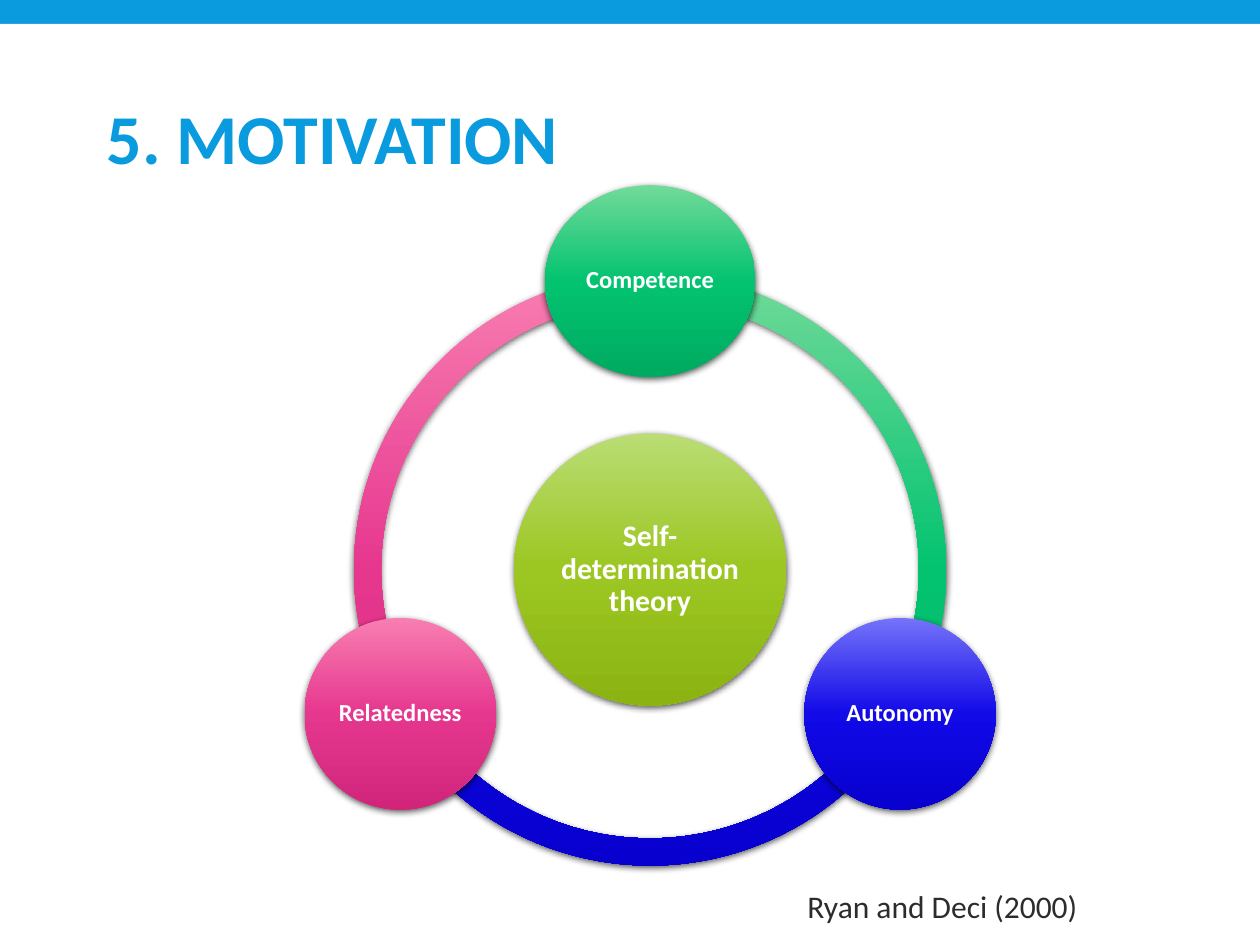
from math import cos, radians, sin

from lxml.etree import SubElement
from pptx import Presentation
from pptx.dml.color import RGBColor
from pptx.enum.shapes import MSO_SHAPE as Shape
from pptx.enum.text import MSO_ANCHOR as Anchor, PP_ALIGN as Align
from pptx.oxml.ns import qn
from pptx.util import Inches, Pt

BLUE, WHITE, INK = "099BDD", "FFFFFF", "2C2C2C"
GREEN_SHADES = ("72DA9A", "03C370", "00AA61")
INDIGO_SHADES = ("7473F9", "120AE7", "0700CF")
PINK_SHADES = ("F87EB1", "E6378F", "D0257B")
LIME_SHADES = ("BADD75", "9CC621", "8BB413")

CENTER_X, CENTER_Y = 5.16, 4.52
RING_SIZE, ORBIT = 4.7, 2.29
ADJUST_PER_DEGREE = 0.6

NEEDS = [
    ("Competence", 270, 1.67, GREEN_SHADES),
    ("Autonomy", 30, 1.52, INDIGO_SHADES),
    ("Relatedness", 150, 1.52, PINK_SHADES),
]


def color(value):
    return RGBColor.from_string(value)


class SlideBuilder:
    font = "Calibri"

    def __init__(self, page):
        self.page = page

    def background(self, fill):
        self.page.background.fill.solid()
        self.page.background.fill.fore_color.rgb = color(fill)

    def shape(self, kind, left, top, width, height):
        item = self.page.shapes.add_shape(
            kind, Inches(left), Inches(top), Inches(width), Inches(height))
        item.line.fill.background()
        item.shadow.inherit = False
        return item

    def panel(self, top, height):
        item = self.shape(Shape.RECTANGLE, 0, top, 10, height)
        item.fill.solid()
        item.fill.fore_color.rgb = color(WHITE)

    def glossy(self, kind, center_x, center_y, width, height, shades):
        item = self.shape(
            kind, center_x - width / 2, center_y - height / 2, width, height)
        item.fill.gradient()
        item.fill.gradient_angle = 270
        properties = item._element.spPr
        stops = properties.find(".//" + qn("a:gsLst"))
        stops.clear()
        for position, shade in zip((0, 50000, 100000), shades):
            stop = SubElement(stops, qn("a:gs"), pos=str(position))
            SubElement(stop, qn("a:srgbClr"), val=shade)
        shadow = SubElement(
            properties.find(qn("a:effectLst")), qn("a:outerShdw"),
            blurRad=str(Pt(4)), dist=str(Pt(1.2)), dir="5400000", rotWithShape="0")
        tint = SubElement(shadow, qn("a:srgbClr"), val="000000")
        SubElement(tint, qn("a:alpha"), val="68000")
        return item

    def arc(self, start, end, shades):
        item = self.glossy(
            Shape.BLOCK_ARC, CENTER_X, CENTER_Y, RING_SIZE, RING_SIZE, shades)
        item.adjustments[0] = start * ADJUST_PER_DEGREE
        item.adjustments[1] = end * ADJUST_PER_DEGREE
        item.adjustments[2] = 0.046

    def disc(self, text, center_x, center_y, width, height, shades, size):
        item = self.glossy(Shape.OVAL, center_x, center_y, width, height, shades)
        frame = item.text_frame
        frame.margin_left = frame.margin_right = Inches(0.02)
        frame.margin_top = frame.margin_bottom = Inches(0.02)
        self.add_text(frame, text, size, WHITE, True, 0.9, Align.CENTER)

    def label(self, text, left, top, width, height, size, fill,
              bold=False, spacing=1.0):
        box = self.page.shapes.add_textbox(
            Inches(left), Inches(top), Inches(width), Inches(height))
        self.add_text(box.text_frame, text, size, fill, bold, spacing, Align.LEFT)

    def add_text(self, frame, text, size, fill, bold, spacing, align):
        frame.word_wrap = True
        frame.vertical_anchor = Anchor.MIDDLE
        para = frame.paragraphs[0]
        para.alignment = align
        para.line_spacing = spacing
        span = para.add_run()
        span.text = text
        span.font.name = self.font
        span.font.size = Pt(size)
        span.font.bold = bold
        span.font.color.rgb = color(fill)


def main():
    deck = Presentation()
    deck.slide_width, deck.slide_height = Inches(10), Inches(7.5)
    builder = SlideBuilder(deck.slides.add_slide(deck.slide_layouts[6]))

    builder.background(BLUE)
    builder.panel(0.19, 1.8)
    builder.label("5. MOTIVATION", 0.75, 0.31, 8.5, 1.65, 40, BLUE, True, 0.85)
    builder.panel(1.96, 5.55)

    for _, angle, _, shades in reversed(NEEDS):
        builder.arc(angle, (angle + 120) % 360, shades)
    builder.disc("Self-determination theory", CENTER_X, CENTER_Y,
                 2.16, 2.16, LIME_SHADES, 17)
    for name, angle, width, shades in NEEDS:
        builder.disc(name, CENTER_X + ORBIT * cos(radians(angle)),
                     CENTER_Y + ORBIT * sin(radians(angle)),
                     width, 1.52, shades, 14)

    builder.label("Ryan and Deci (2000)", 6.31, 6.99, 3.54, 0.4, 18, INK)
    deck.save("out.pptx")


if __name__ == "__main__":
    main()
